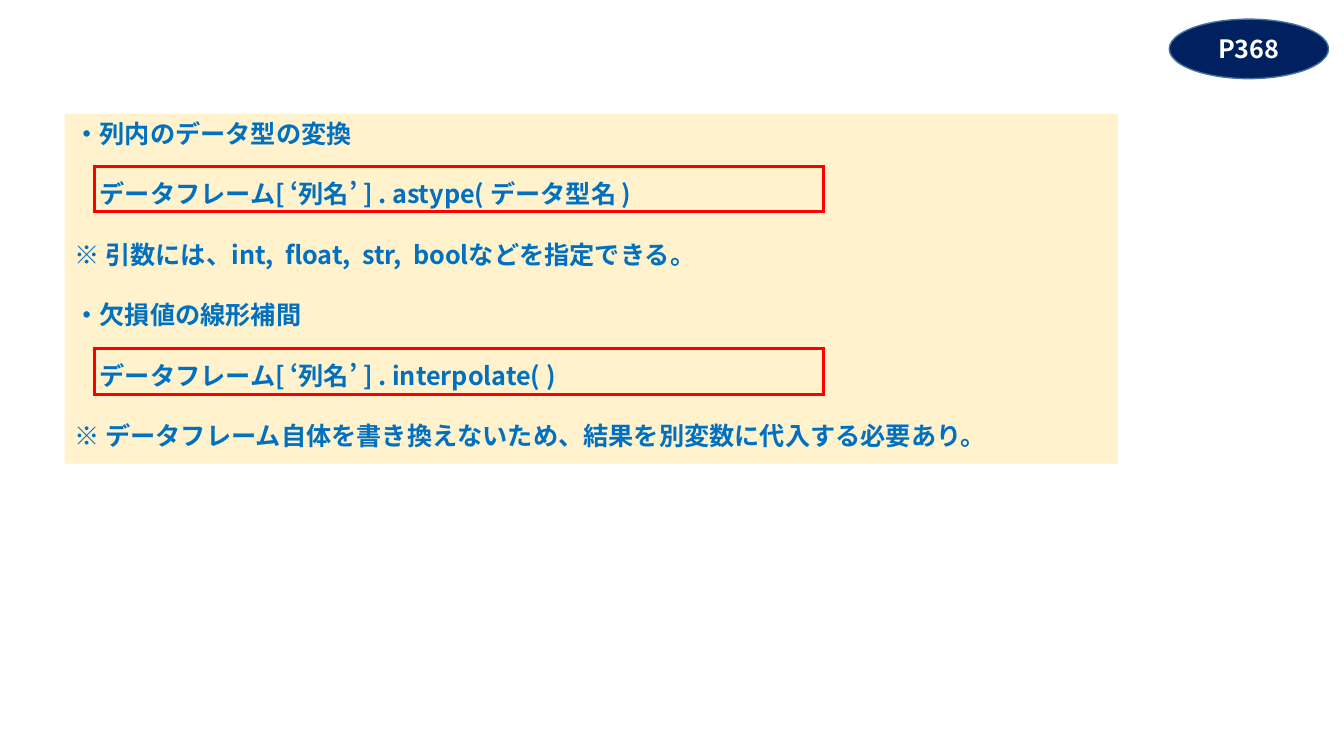
from dataclasses import dataclass

from lxml import etree
from pptx import Presentation
from pptx import util as u
from pptx.dml.color import RGBColor
from pptx.enum import lang, shapes, text
from pptx.oxml import ns


@dataclass(frozen=True)
class Theme:
    font: str = "Noto Sans CJK JP"
    size: int = 18
    line_gap: float = 21.6
    panel: str = "FFF2CC"
    body: str = "0070C0"
    frame: str = "FF0000"
    badge: str = "002060"
    badge_line: str = "43739E"
    badge_text: str = "FFFFFF"


THEME = Theme()
CODE_INDENT = 0.25
TOPIC_STEP = 1.81

# Each topic: heading, code, note
TOPICS = [
    ("・列内のデータ型の変換",
     "データフレーム[ ‘列名’ ] . astype( データ型名 )",
     "※ 引数には、int,  float,  str,  boolなどを指定できる。"),
    ("・欠損値の線形補間",
     "データフレーム[ ‘列名’ ] . interpolate( )",
     "※ データフレーム自体を書き換えないため、結果を別変数に代入する必要あり。"),
]


def add_box(page, kind, box, fill=None, line=None, width=1):
    shape = page.shapes.add_shape(kind, *map(u.Inches, box))
    shape.shadow.inherit = False
    if fill:
        shape.fill.solid()
        shape.fill.fore_color.rgb = RGBColor.from_string(fill)
    else:
        shape.fill.background()
    if line:
        shape.line.color.rgb = RGBColor.from_string(line)
        shape.line.width = u.Pt(width)
        etree.SubElement(shape.line._get_or_add_ln(), ns.qn("a:miter")).set("lim", "800000")
    else:
        shape.line.fill.background()
    return shape


def write(para, words, color, align):
    para.text = words
    para.alignment = align
    for span in para.runs:
        span.font.name = THEME.font
        span.font.size = u.Pt(THEME.size)
        span.font.bold = True
        span.font.language_id = lang.MSO_LANGUAGE_ID.JAPANESE
        span.font.color.rgb = RGBColor.from_string(color)
        east_asian = etree.SubElement(span.font._element, ns.qn("a:ea"))
        east_asian.set("typeface", THEME.font)


def add_topics(page, box):
    """Draw the panel with all topics and a frame around each code line."""
    left, top, _, _ = box
    panel = add_box(page, shapes.MSO_SHAPE.RECTANGLE, box, THEME.panel)
    frame = panel.text_frame
    frame.word_wrap = True
    frame.margin_top = u.Inches(0.04)
    frame.vertical_anchor = text.MSO_ANCHOR.TOP
    for index, topic in enumerate(TOPICS):
        for row, words in enumerate(topic):
            first = index == row == 0
            para = frame.paragraphs[0] if first else frame.add_paragraph()
            write(para, words, THEME.body, text.PP_ALIGN.LEFT)
            if not first:
                para.space_before = u.Pt(THEME.line_gap)
            if row == 1:
                para._p.get_or_add_pPr().set("marL", str(u.Inches(CODE_INDENT)))
        add_box(page, shapes.MSO_SHAPE.RECTANGLE,
                (left + 0.3, top + 0.52 + index * TOPIC_STEP, 7.23, 0.45),
                line=THEME.frame, width=2.25)


def add_page_badge(page, box, words):
    badge = add_box(page, shapes.MSO_SHAPE.OVAL, box, THEME.badge, THEME.badge_line)
    badge.text_frame.vertical_anchor = text.MSO_ANCHOR.MIDDLE
    write(badge.text_frame.paragraphs[0], words, THEME.badge_text,
          text.PP_ALIGN.CENTER)


def main():
    deck = Presentation()
    deck.slide_width, deck.slide_height = u.Inches(40 / 3), u.Inches(7.5)
    page = deck.slides.add_slide(deck.slide_layouts[6])
    add_topics(page, (0.64, 1.13, 10.45, 3.47))
    add_page_badge(page, (11.6, 0.19, 1.58, 0.59), "P368")
    deck.save("out.pptx")


if __name__ == "__main__":
    main()
